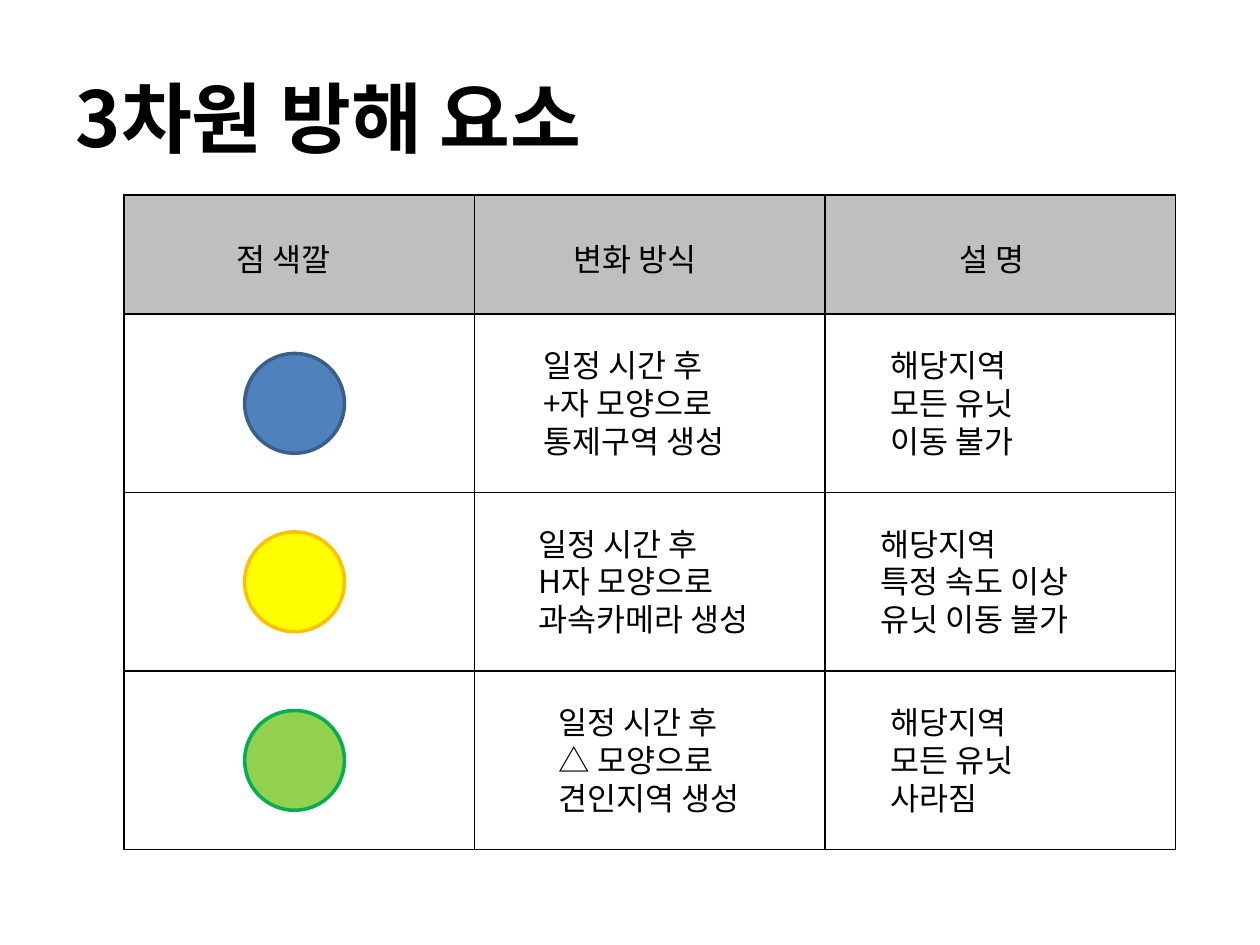
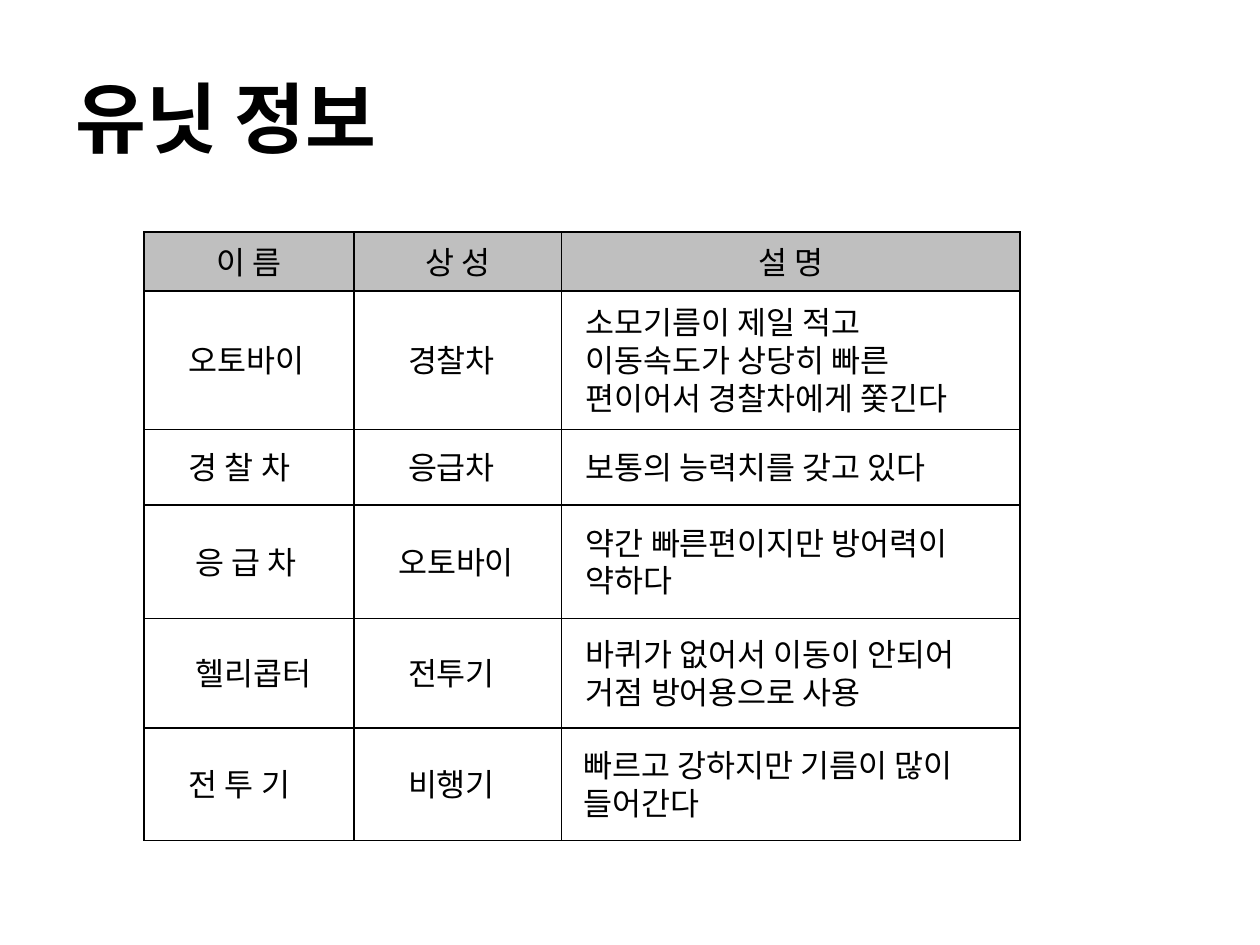
import itertools
from dataclasses import dataclass

import lxml.etree
import pptx
import pptx.dml.color
import pptx.enum.shapes
import pptx.enum.text
import pptx.oxml.ns
import pptx.util

Pt = pptx.util.Pt
qn = pptx.oxml.ns.qn


@dataclass(frozen=True)
class Theme:
    """Hold the colours and type sizes of the presentation."""
    font: str = "Noto Sans CJK KR"
    ink: str = "000000"
    header: str = "BFBFBF"
    blue: tuple = ("4F81BD", "3A5F8C")
    yellow: tuple = ("FFFF00", "FFC000")
    green: tuple = ("92D050", "00B050")
    title_size: float = 44
    body_size: float = 18
    border_width: float = 1
    dot_line_width: float = 2


THEME = Theme()
SINGLE_LINE_HEIGHT = 29
EXTRA_LINE_HEIGHT = 21.8


def color(value):
    """Turn a hexadecimal string into a colour."""
    return pptx.dml.color.RGBColor.from_string(value)


def format_text(text_frame, size, bold=False, alignment=None):
    """Apply the theme font to every run of a text frame."""
    for paragraph in text_frame.paragraphs:
        paragraph.alignment = alignment
        for run in paragraph.runs:
            run.font.size = Pt(size)
            run.font.bold = bold
            run.font.color.rgb = color(THEME.ink)
            run.font.name = THEME.font
            east_asian = lxml.etree.SubElement(run.font._element, qn("a:ea"))
            east_asian.set("typeface", THEME.font)


def add_titled_slide(presentation, title):
    """Add a slide with a bold left-aligned title."""
    slide = presentation.slides.add_slide(presentation.slide_layouts[5])
    shape = slide.shapes.title
    shape.left, shape.top, shape.width, shape.height = map(Pt, (36, 21.6, 648, 90))
    shape.text_frame.text = title
    shape.text_frame.vertical_anchor = pptx.enum.text.MSO_ANCHOR.MIDDLE
    format_text(shape.text_frame, THEME.title_size, True, pptx.enum.text.PP_ALIGN.LEFT)
    return slide


def add_label(slide, left, top, width, height, text):
    """Add a wrapped text box in the body style."""
    shape = slide.shapes.add_textbox(Pt(left), Pt(top), Pt(width), Pt(height))
    shape.text_frame.word_wrap = True
    shape.text_frame.auto_size = pptx.enum.text.MSO_AUTO_SIZE.SHAPE_TO_FIT_TEXT
    shape.text_frame.text = text
    format_text(shape.text_frame, THEME.body_size)


def add_centred_label(slide, left, row_top, row_height, width, text, lines):
    """Add a label of known line count in the vertical middle of a row."""
    height = SINGLE_LINE_HEIGHT + EXTRA_LINE_HEIGHT * (lines - 1)
    add_label(slide, left, row_top + (row_height - height) / 2, width, height, text)


def add_dot(slide, left, top, diameter, colors):
    """Add an outlined dot."""
    dot = slide.shapes.add_shape(pptx.enum.shapes.MSO_SHAPE.OVAL,
                                 Pt(left), Pt(top), Pt(diameter), Pt(diameter))
    dot.shadow.inherit = False
    dot.fill.solid()
    dot.fill.fore_color.rgb = color(colors[0])
    dot.line.color.rgb = color(colors[1])
    dot.line.width = Pt(THEME.dot_line_width)


def add_borders(cell):
    """Draw the four borders of a table cell."""
    properties = cell._tc.get_or_add_tcPr()
    for side in ("a:lnL", "a:lnR", "a:lnT", "a:lnB"):
        line = lxml.etree.SubElement(properties, qn(side), w=str(Pt(THEME.border_width)))
        fill = lxml.etree.SubElement(line, qn("a:solidFill"))
        lxml.etree.SubElement(fill, qn("a:srgbClr"), val=THEME.ink)


def add_grid(slide, left, top, widths, heights):
    """Add a bordered table with a grey header and return it with its edges."""
    table = slide.shapes.add_table(len(heights), len(widths), Pt(left), Pt(top),
                                   Pt(sum(widths)), Pt(sum(heights))).table
    table.first_row = table.horz_banding = False
    for column, width in zip(table.columns, widths):
        column.width = Pt(width)
    for index, (row, height) in enumerate(zip(table.rows, heights)):
        row.height = Pt(height)
        for cell in row.cells:
            add_borders(cell)
            if index == 0:
                cell.fill.solid()
                cell.fill.fore_color.rgb = color(THEME.header)
            else:
                cell.fill.background()
    column_lefts = list(itertools.accumulate(widths, initial=left))
    row_tops = list(itertools.accumulate(heights, initial=top))
    return table, column_lefts, row_tops


def add_obstacle_table(slide, left, top):
    """Place the table of dots, their changes and their effects."""
    heights = [68, 102, 102, 102]
    _, lefts, tops = add_grid(slide, left, top, [200.3] * 3, heights)
    headings = [("점 색깔", 57), ("변화 방식", 49.5), ("설 명", 70)]
    for column_left, (text, inset) in zip(lefts, headings):
        add_label(slide, column_left + inset, top + 22.3, 124.5, SINGLE_LINE_HEIGHT, text)
    obstacles = [
        (THEME.blue, ("일정 시간 후\n+자 모양으로\n통제구역 생성", 32.3),
         ("해당지역\n모든 유닛\n이동 불가", 30.6)),
        (THEME.yellow, ("일정 시간 후\nH자 모양으로\n과속카메라 생성", 29.4),
         ("해당지역\n특정 속도 이상\n유닛 이동 불가", 24.9)),
        (THEME.green, ("일정 시간 후\n△ 모양으로\n견인지역 생성", 41),
         ("해당지역\n모든 유닛\n사라짐", 30.6)),
    ]
    diameter = 57
    for row_top, height, (colors, *labels) in zip(tops[1:], heights[1:], obstacles):
        add_dot(slide, left + 69, row_top + (height - diameter) / 2, diameter, colors)
        for column_left, (text, inset) in zip(lefts[1:], labels):
            add_centred_label(slide, column_left + inset, row_top, height, 164, text, 3)


def add_unit_table(slide, left, top):
    """Place the table of units, their counters and descriptions."""
    heights = [33.8, 79.2, 43.2, 64.8, 62.6, 64.1]
    table, lefts, tops = add_grid(slide, left, top, [120.2, 118.4, 262.2], heights)
    for cell, text in zip(table.rows[0].cells, ("이 름", "상 성", "설 명")):
        cell.text_frame.text = text
        format_text(cell.text_frame, THEME.body_size,
                    alignment=pptx.enum.text.PP_ALIGN.CENTER)
    units = [
        (("오토바이", 18.7, 1), ("경찰차", 23.7, 1),
         ("소모기름이 제일 적고 이동속도가 상당히 빠른 편이어서 경찰차에게 쫓긴다", 7, 3)),
        (("경 찰 차", 18.7, 1), ("응급차", 23.7, 1),
         ("보통의 능력치를 갖고 있다", 7, 1)),
        (("응 급 차", 22.3, 1), ("오토바이", 18, 1),
         ("약간 빠른편이지만 방어력이 약하다", 7, 2)),
        (("헬리콥터", 22.3, 1), ("전투기", 23.7, 1),
         ("바퀴가 없어서 이동이 안되어 거점 방어용으로 사용", 7, 2)),
        (("전 투 기", 18.7, 1), ("비행기", 23.7, 1),
         ("빠르고 강하지만 기름이 많이 들어간다", 5.5, 2)),
    ]
    for row_top, height, labels in zip(tops[1:], heights[1:], units):
        for column_left, width, (text, inset, lines) in zip(lefts, (96.5, 96.5, 244), labels):
            add_centred_label(slide, column_left + inset, row_top, height, width, text, lines)


def main():
    """Build and save the presentation."""
    presentation = pptx.Presentation()
    presentation.slide_width, presentation.slide_height = Pt(720), Pt(540)
    add_obstacle_table(add_titled_slide(presentation, "3차원 방해 요소"), 70.8, 111.5)
    add_unit_table(add_titled_slide(presentation, "유닛 정보"), 82.2, 132.5)
    presentation.save("out.pptx")


main()
